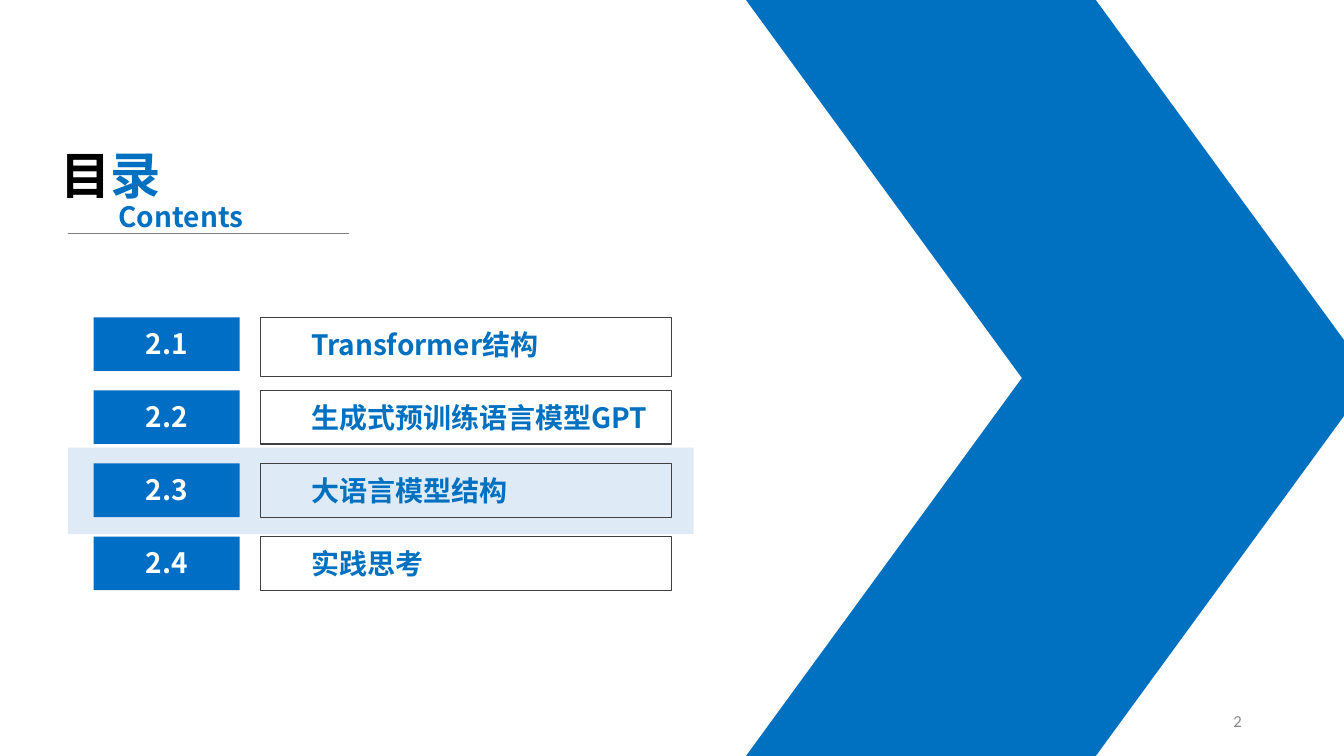
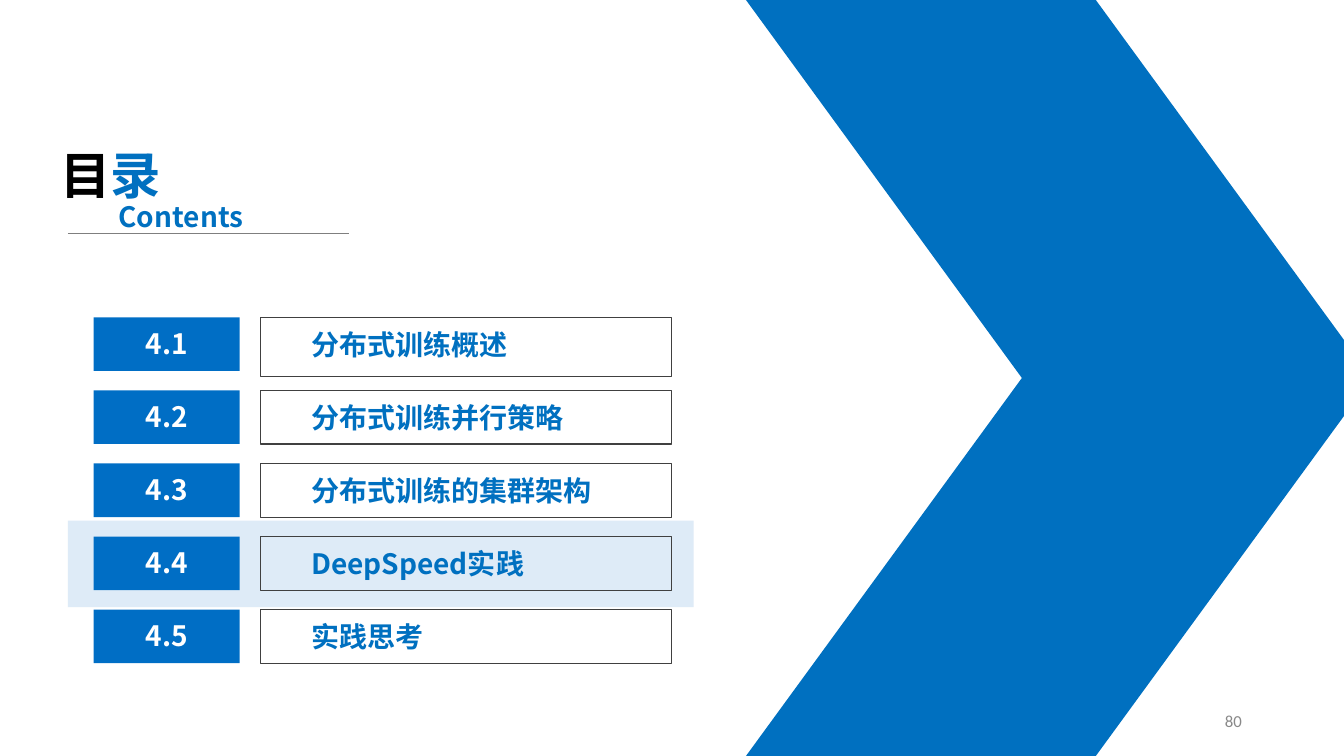
from dataclasses import dataclass

from lxml import etree
from pptx import Presentation
from pptx.dml.color import RGBColor
from pptx.enum import shapes, text
from pptx.oxml.ns import qn
from pptx.util import Cm, Pt

BLUE = RGBColor(0x00, 0x70, 0xC0)
BADGE_BLUE = RGBColor(0x00, 0x6E, 0xC5)
PALE_BLUE = RGBColor(0xDE, 0xEB, 0xF7)
FRAME_GREY = RGBColor(0x40, 0x40, 0x40)
RULE_GREY = RGBColor(0x7F, 0x7F, 0x7F)
NUMBER_GREY = RGBColor(0x89, 0x89, 0x89)
BLACK = RGBColor(0, 0, 0)
WHITE = RGBColor(0xFF, 0xFF, 0xFF)
HEAD_FONT = "Noto Sans CJK SC"
NUMBER_FONT = "Calibri"

SLIDE_WIDTH, SLIDE_HEIGHT = Cm(33.87), Cm(19.05)
ROW_TOP, ROW_PITCH, ROW_HEIGHT = Cm(8), Cm(1.84), Cm(1.35)
FIRST_FRAME_HEIGHT = Cm(1.48)
BAND_WIDTH = Cm(15.77)


@dataclass(frozen=True)
class Contents:
    chapter: int
    page_number: int
    current: int
    sections: tuple[str, ...]


@dataclass(frozen=True)
class Box:
    left: int
    top: int
    width: int
    height: int


CONTENTS = (
    Contents(2, 2, 3, ("Transformer结构", "生成式预训练语言模型GPT", "大语言模型结构", "实践思考")),
    Contents(4, 80, 4, ("分布式训练概述", "分布式训练并行策略", "分布式训练的集群架构",
                        "DeepSpeed实践", "实践思考")),
)


def style_span(span, size: float, color: RGBColor, name: str = HEAD_FONT, bold: bool = True) -> None:
    """Format a run, with the same typeface for Latin and East Asian text."""
    span.font.size = Pt(size)
    span.font.bold = bold
    span.font.color.rgb = color
    span.font.name = name
    east_asian = etree.Element(qn("a:ea"), typeface=name)
    span.font._element.find(qn("a:latin")).addnext(east_asian)


def add_block(page, box: Box, fill: RGBColor | None = None, line: RGBColor | None = None,
              kind=shapes.MSO_SHAPE.RECTANGLE):
    block = page.shapes.add_shape(kind, box.left, box.top, box.width, box.height)
    block.shadow.inherit = False
    if fill is None:
        block.fill.background()
    else:
        block.fill.solid()
        block.fill.fore_color.rgb = fill
    if line is None:
        block.line.fill.background()
    else:
        block.line.color.rgb = line
        block.line.width = Pt(0.75)
    return block


def write_in_block(block, words: str, color: RGBColor, align, left: int, top: int) -> None:
    frame = block.text_frame
    frame.word_wrap = True
    frame.vertical_anchor = text.MSO_ANCHOR.TOP
    frame.margin_left, frame.margin_top = left, top
    frame.margin_right = frame.margin_bottom = 0
    frame.text = words
    para = frame.paragraphs[0]
    para.alignment = align
    style_span(para.runs[0], 20, color)


def add_label(page, box: Box, words: str):
    label = page.shapes.add_textbox(box.left, box.top, box.width, box.height)
    label.text_frame.word_wrap = True
    label.text_frame.text = words
    return label.text_frame


def add_chevron(page) -> None:
    """Two mirrored parallelograms that form the large arrow on the right."""
    half = SLIDE_HEIGHT // 2
    for top in (half, 0):
        arm = add_block(page, Box(Cm(18.8), top, BAND_WIDTH, half), fill=BLUE,
                        kind=shapes.MSO_SHAPE.PARALLELOGRAM)
        arm.adjustments[0] = 0.73
        if top == 0:
            arm._element.spPr.find(qn("a:xfrm")).set("flipV", "1")


def add_heading(page) -> None:
    title = page.shapes.title
    title.left, title.top, title.width, title.height = Cm(1.27), Cm(3.51), Cm(3.99), Cm(1.8)
    frame = title.text_frame
    frame.auto_size = text.MSO_AUTO_SIZE.NONE
    frame.vertical_anchor = text.MSO_ANCHOR.TOP
    para = frame.paragraphs[0]
    para.alignment = text.PP_ALIGN.LEFT
    for character, color in (("目", BLACK), ("录", BLUE)):
        span = para.add_run()
        span.text = character
        style_span(span, 36, color)

    subtitle = add_label(page, Box(Cm(2.74), Cm(4.9), Cm(3.99), Cm(1.12)), "Contents")
    style_span(subtitle.paragraphs[0].runs[0], 20, BLUE)

    rule = page.shapes.add_connector(shapes.MSO_CONNECTOR.STRAIGHT,
                                     Cm(1.71), Cm(5.87), Cm(8.79), Cm(5.87))
    rule.line.color.rgb = RULE_GREY
    rule.line.width = Pt(0.5)
    etree.SubElement(rule._element.spPr, qn("a:effectLst"))


def add_section(page, index: int, number: str, name: str) -> None:
    top = ROW_TOP + index * ROW_PITCH
    frame_height = ROW_HEIGHT if index else FIRST_FRAME_HEIGHT
    frame = add_block(page, Box(Cm(6.57), top, Cm(10.36), frame_height), line=FRAME_GREY)
    write_in_block(frame, name, BLUE, text.PP_ALIGN.LEFT, Cm(1.27), Cm(0.25))
    badge = add_block(page, Box(Cm(2.36), top, Cm(3.68), ROW_HEIGHT), fill=BADGE_BLUE)
    write_in_block(badge, number, WHITE, text.PP_ALIGN.CENTER, 0, Cm(0.23))


def add_page_number(page, number: int) -> None:
    frame = add_label(page, Box(Cm(23.93), Cm(17.65), Cm(7.62), Cm(1.02)), str(number))
    frame.vertical_anchor = text.MSO_ANCHOR.MIDDLE
    para = frame.paragraphs[0]
    para.alignment = text.PP_ALIGN.RIGHT
    style_span(para.runs[0], 12, NUMBER_GREY, NUMBER_FONT, bold=False)


def add_contents_page(deck, contents: Contents) -> None:
    page = deck.slides.add_slide(deck.slide_layouts.get_by_name("Title Only"))
    band_top = ROW_TOP + (contents.current - 1) * ROW_PITCH - Cm(0.4)
    add_block(page, Box(Cm(1.71), band_top, BAND_WIDTH, Cm(2.18)), fill=PALE_BLUE)
    add_chevron(page)
    add_heading(page)
    for index, name in enumerate(contents.sections):
        add_section(page, index, f"{contents.chapter}.{index + 1}", name)
    add_page_number(page, contents.page_number)


def main() -> None:
    deck = Presentation()
    deck.slide_width, deck.slide_height = SLIDE_WIDTH, SLIDE_HEIGHT
    for contents in CONTENTS:
        add_contents_page(deck, contents)
    deck.save("out.pptx")


if __name__ == "__main__":
    main()
